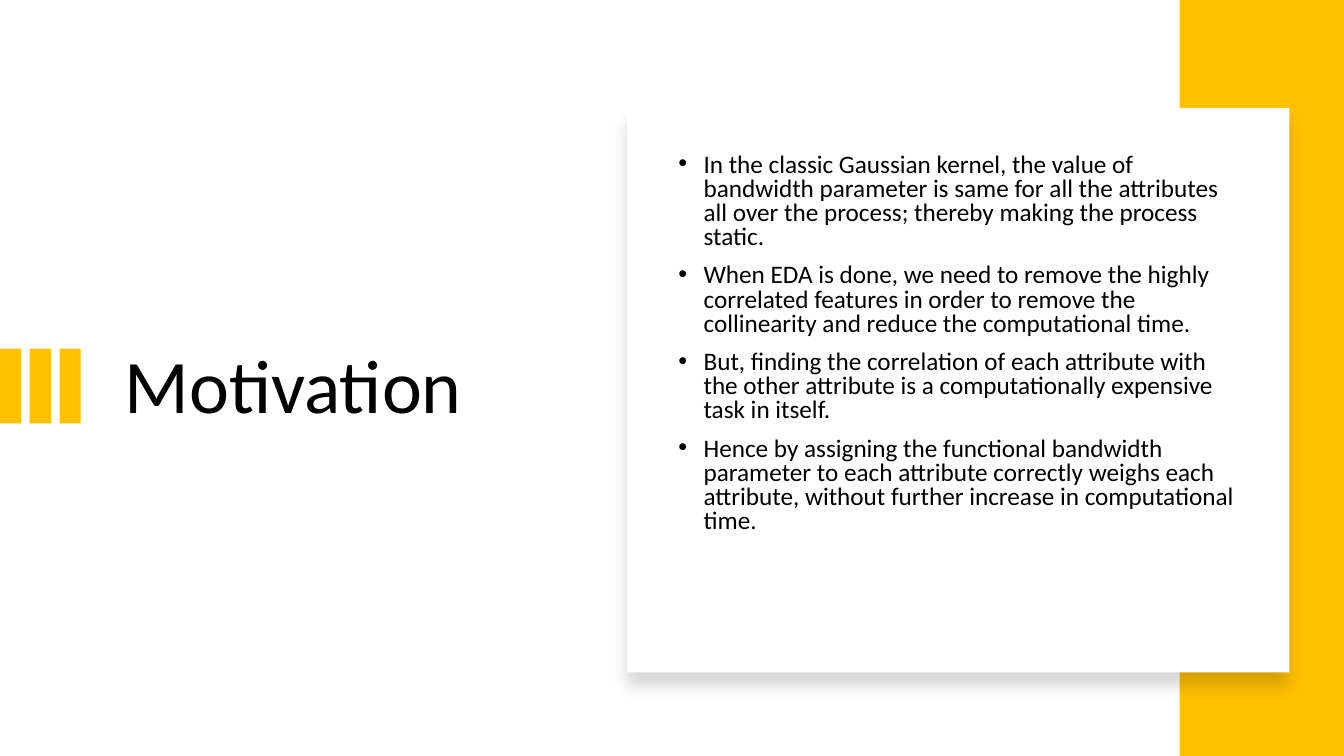
"""Build the Motivation slide."""
import dataclasses

import lxml.etree
import pptx
import pptx.dml.color
import pptx.enum.shapes
import pptx.enum.text
import pptx.oxml.ns
import pptx.util

Inches = pptx.util.Inches
Pt = pptx.util.Pt
qn = pptx.oxml.ns.qn


@dataclasses.dataclass(frozen=True)
class Theme:
    font: str = "Calibri"
    ink: str = "000000"
    paper: str = "FFFFFF"
    gold: str = "FFC000"
    title: int = 54
    body: int = 18


def rgb(code):
    return pptx.dml.color.RGBColor.from_string(code)


def child(parent, tag, **attrs):
    node = lxml.etree.SubElement(parent, qn(tag))
    for key, value in attrs.items():
        node.set(key, str(value))
    return node


def write(para, text, *, font, size, color, leading, before=0, bullet=False):
    para.line_spacing = leading
    para.space_before = Pt(before)
    if bullet:
        props = para._p.get_or_add_pPr()
        props.set("marL", str(Inches(0.25)))
        props.set("indent", str(Inches(-0.25)))
        child(props, "a:buFont", typeface="Arial")
        child(props, "a:buChar", char="•")
    run = para.add_run()
    run.text = text
    run.font.name = font
    run.font.size = Pt(size)
    run.font.color.rgb = rgb(color)


class Deck:
    def __init__(self, theme):
        self.theme = theme
        self.show = pptx.Presentation()
        self.show.slide_width = Inches(13.33)
        self.show.slide_height = Inches(7.5)
        self.slide = self.show.slides.add_slide(self.show.slide_layouts[6])

    def block(self, left, top, width, height, color):
        shape = self.slide.shapes.add_shape(
            pptx.enum.shapes.MSO_SHAPE.RECTANGLE,
            Inches(left), Inches(top), Inches(width), Inches(height))
        shape.shadow.inherit = False
        shape.fill.solid()
        shape.fill.fore_color.rgb = rgb(color)
        shape.line.fill.background()
        return shape

    def card(self, left, top, width, height):
        shape = self.block(left, top, width, height, self.theme.paper)
        effects = shape._element.spPr.find(qn("a:effectLst"))
        shade = child(effects, "a:outerShdw", blurRad=Pt(11), dist=Pt(10),
                      dir=90 * 60000, algn="t", rotWithShape=0)
        tint = child(shade, "a:srgbClr", val=self.theme.ink)
        child(tint, "a:alpha", val=15000)

    def text(self, left, top, width, height, lines, foot=0.05, **style):
        box = self.slide.shapes.add_textbox(
            Inches(left), Inches(top), Inches(width), Inches(height))
        frame = box.text_frame
        frame.word_wrap = True
        frame.vertical_anchor = pptx.enum.text.MSO_ANCHOR.MIDDLE
        frame.margin_bottom = Inches(foot)
        for index, line in enumerate(lines):
            para = frame.add_paragraph() if index else frame.paragraphs[0]
            write(para, line, font=self.theme.font, color=self.theme.ink, **style)


POINTS = [
    "In the classic Gaussian kernel, the value of bandwidth parameter is same "
    "for all the attributes all over the process; thereby making the process static.",
    "When EDA is done, we need to remove the highly correlated features in order "
    "to remove the collinearity and reduce the computational time.",
    "But, finding the correlation of each attribute with the other attribute is "
    "a computationally expensive task in itself.",
    "Hence by assigning the functional bandwidth parameter to each attribute "
    "correctly weighs each attribute, without further increase in computational time.",
]

theme = Theme()
deck = Deck(theme)
deck.text(1.14, 1.46, 4.26, 4.79, ["Motivation"], size=theme.title, leading=0.9)
for step in range(3):
    deck.block(step * 0.295, 3.46, 0.21, 0.74, theme.gold)
deck.block(11.7, 0, 1.63, 7.5, theme.gold)
deck.card(6.22, 1.07, 6.57, 5.6)
deck.text(6.63, 1.43, 5.75, 4.79, POINTS, foot=0.87, size=theme.body,
          leading=0.8, before=10, bullet=True)
deck.show.save("out.pptx")
